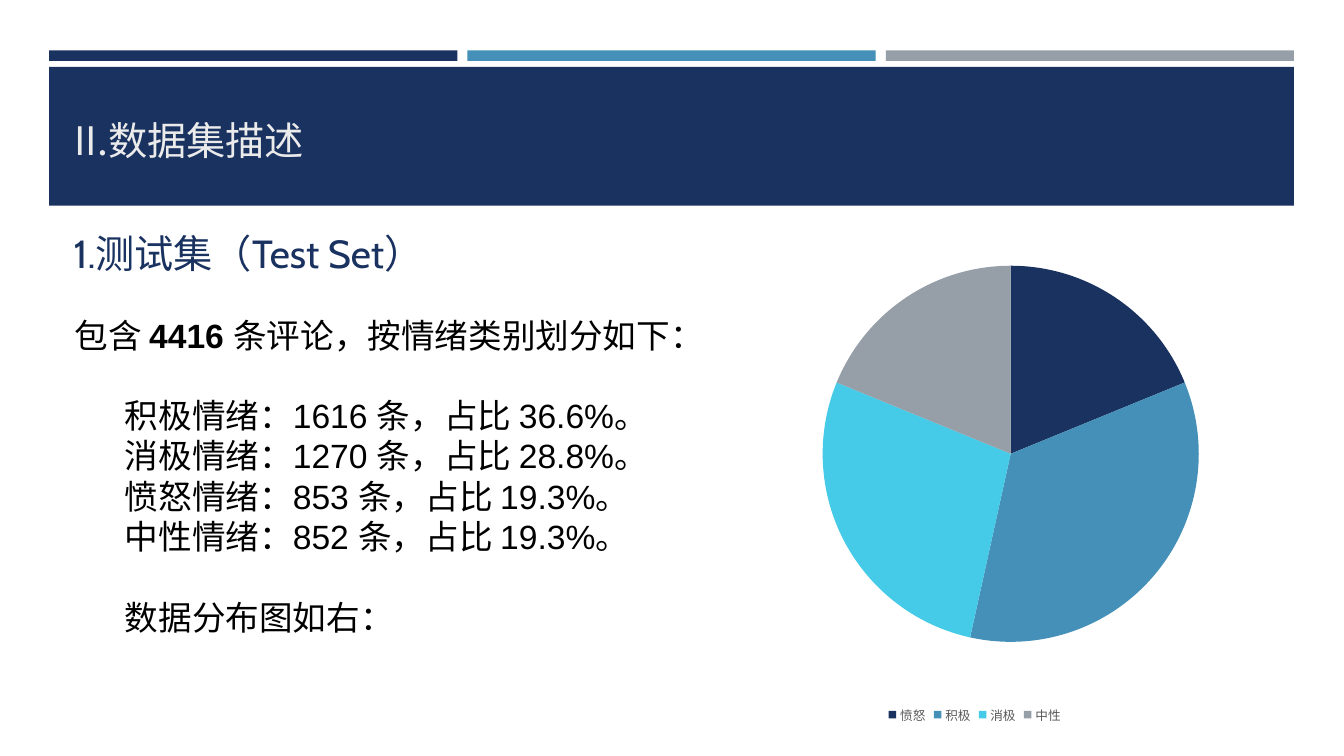
from dataclasses import dataclass

from lxml import etree
from pptx import Presentation
from pptx.chart.data import CategoryChartData
from pptx.dml.color import RGBColor
from pptx.enum.chart import XL_CHART_TYPE, XL_LEGEND_POSITION
from pptx.enum.shapes import MSO_SHAPE
from pptx.enum.text import MSO_ANCHOR, MSO_AUTO_SIZE, PP_ALIGN
from pptx.oxml.ns import qn
from pptx.util import Pt

RECTANGLE = MSO_SHAPE.RECTANGLE
PIE = XL_CHART_TYPE.PIE
LEGEND_BOTTOM = XL_LEGEND_POSITION.BOTTOM
TOP, BOTTOM = MSO_ANCHOR.TOP, MSO_ANCHOR.BOTTOM
LEFT, CENTER = PP_ALIGN.LEFT, PP_ALIGN.CENTER
NO_AUTOFIT = MSO_AUTO_SIZE.NONE


@dataclass(frozen=True)
class Theme:
    navy: str = "1A3260"
    blue: str = "4590B8"
    cyan: str = "45CBE8"
    gray: str = "969FA7"
    title_color: str = "EBEBEB"
    text_color: str = "000000"
    legend_color: str = "595959"
    title_font: str = "Noto Sans CJK SC"
    heading_font: str = "Cabin"
    body_font: str = "Arial"
    heading_size: float = 28
    body_size: float = 24
    chart_size: float = 10
    legend_size: float = 9


class SlideBuilder:
    def __init__(self, slide, theme):
        self.slide = slide
        self.theme = theme

    def style_font(self, font, name, size, color):
        font.name = name
        font.size = Pt(size)
        font.color.rgb = RGBColor.from_string(color)

    def place(self, shape, left, top, width, height):
        shape.left, shape.top = Pt(left), Pt(top)
        shape.width, shape.height = Pt(width), Pt(height)

    def frame(self, shape, anchor):
        text_frame = shape.text_frame
        text_frame.word_wrap = True
        text_frame.auto_size = NO_AUTOFIT
        text_frame.vertical_anchor = anchor
        return text_frame

    def band(self, left, top, width, height, color):
        shape = self.slide.shapes.add_shape(
            RECTANGLE, Pt(left), Pt(top), Pt(width), Pt(height))
        shape.shadow.inherit = False
        shape.fill.solid()
        shape.fill.fore_color.rgb = RGBColor.from_string(color)
        shape.line.fill.background()
        self.slide.shapes.title.element.addprevious(shape.element)

    def title(self, text, *box):
        shape = self.slide.shapes.title
        self.place(shape, *box)
        paragraph = self.frame(shape, BOTTOM).paragraphs[0]
        paragraph.text = text
        paragraph.alignment = LEFT
        self.style_font(paragraph.font, self.theme.title_font,
                        self.theme.heading_size, self.theme.title_color)

    def heading(self, text, left, top, width, height):
        shape = self.slide.shapes.add_textbox(
            Pt(left), Pt(top), Pt(width), Pt(height))
        paragraph = self.frame(shape, TOP).paragraphs[0]
        paragraph.text = text
        paragraph.alignment = CENTER
        self.style_font(paragraph.font, self.theme.heading_font,
                        self.theme.heading_size, self.theme.navy)

    def body(self, lines, *box):
        shape = self.slide.placeholders[1]
        self.place(shape, *box)
        text_frame = self.frame(shape, TOP)
        for index, (runs, level, gap) in enumerate(lines):
            paragraph = (text_frame.add_paragraph() if index
                         else text_frame.paragraphs[0])
            for text, bold in runs:
                run = paragraph.add_run()
                run.text = text
                if bold:
                    run.font.bold = True
            paragraph.level = level
            paragraph.space_before = Pt(gap)
            self.style_font(paragraph.font, self.theme.body_font,
                            self.theme.body_size, self.theme.text_color)
            properties = paragraph._p.get_or_add_pPr()
            properties.set("marL", str(Pt(36 * level)))
            properties.set("indent", "0")
            no_bullet = etree.Element(qn("a:buNone"))
            properties.find(qn("a:defRPr")).addprevious(no_bullet)

    def pie(self, slices, plot, left, top, width, height):
        data = CategoryChartData()
        data.categories = [name for name, value, color in slices]
        data.add_series("Series 1", [value for name, value, color in slices])
        chart = self.slide.shapes.add_chart(
            PIE, Pt(left), Pt(top), Pt(width), Pt(height), data).chart
        chart.has_title = False
        self.style_font(chart.font, self.theme.heading_font,
                        self.theme.chart_size, self.theme.text_color)
        chart.has_legend = True
        chart.legend.position = LEGEND_BOTTOM
        chart.legend.include_in_layout = False
        self.style_font(chart.legend.font, self.theme.heading_font,
                        self.theme.legend_size, self.theme.legend_color)
        pie_plot = chart.plots[0]
        pie_plot.vary_by_categories = True
        for index, (name, value, color) in enumerate(slices):
            fill = pie_plot.series[0].points[index].format.fill
            fill.solid()
            fill.fore_color.rgb = RGBColor.from_string(color)
        self.plot_layout(chart, plot)

    def plot_layout(self, chart, plot):
        area = chart.element.find(".//" + qn("c:plotArea"))
        layout = area.find(qn("c:layout"))
        if layout is None:
            layout = etree.Element(qn("c:layout"))
            area.insert(0, layout)
        manual = etree.SubElement(layout, qn("c:manualLayout"))
        settings = [("layoutTarget", "inner"), ("xMode", "edge"),
                    ("yMode", "edge"), *zip("xywh", plot)]
        for tag, value in settings:
            etree.SubElement(manual, qn("c:" + tag)).set("val", str(value))


def main():
    theme = Theme()
    presentation = Presentation()
    presentation.slide_width = Pt(960)
    presentation.slide_height = Pt(540)
    slide = presentation.slides.add_slide(presentation.slide_layouts[1])
    builder = SlideBuilder(slide, theme)

    margin, strip_width, strip_gap = 35.1, 291.6, 7.2
    for index, color in enumerate((theme.navy, theme.blue, theme.gray)):
        left = margin + index * (strip_width + strip_gap)
        builder.band(left, 36, strip_width, 7.5, color)
    builder.band(margin, 47.8, 3 * strip_width + 2 * strip_gap, 99.2,
                 theme.navy)

    builder.title("II.数据集描述", 46, 33, 868.3, 87.1)
    builder.heading("1.测试集（Test Set）", -37.4, 160.6, 429.8, 41)

    blank_line = 28.8
    counts = [("积极", 1616, 36.6), ("消极", 1270, 28.8),
              ("愤怒", 853, 19.3), ("中性", 852, 19.3)]
    lines = [([("包含 ", False), ("4416 ", True),
               ("条评论，按情绪类别划分如下：", False)], 0, 0)]
    for index, (mood, count, share) in enumerate(counts):
        text = f"{mood}情绪：{count} 条，占比 {share}%。"
        lines.append(([(text, False)], 1, 0 if index else blank_line))
    lines.append(([("数据分布图如右：", False)], 1, blank_line))
    builder.body(lines, 46, 221, 458, 269.3)

    slices = [("愤怒", 19, theme.navy), ("积极", 35, theme.blue),
              ("消极", 28, theme.cyan), ("中性", 19, theme.gray)]
    builder.pie(slices, (0.31, 0.12, 0.47, 0.81), 410.4, 108, 571.7, 411.8)

    presentation.save("out.pptx")


if __name__ == "__main__":
    main()
